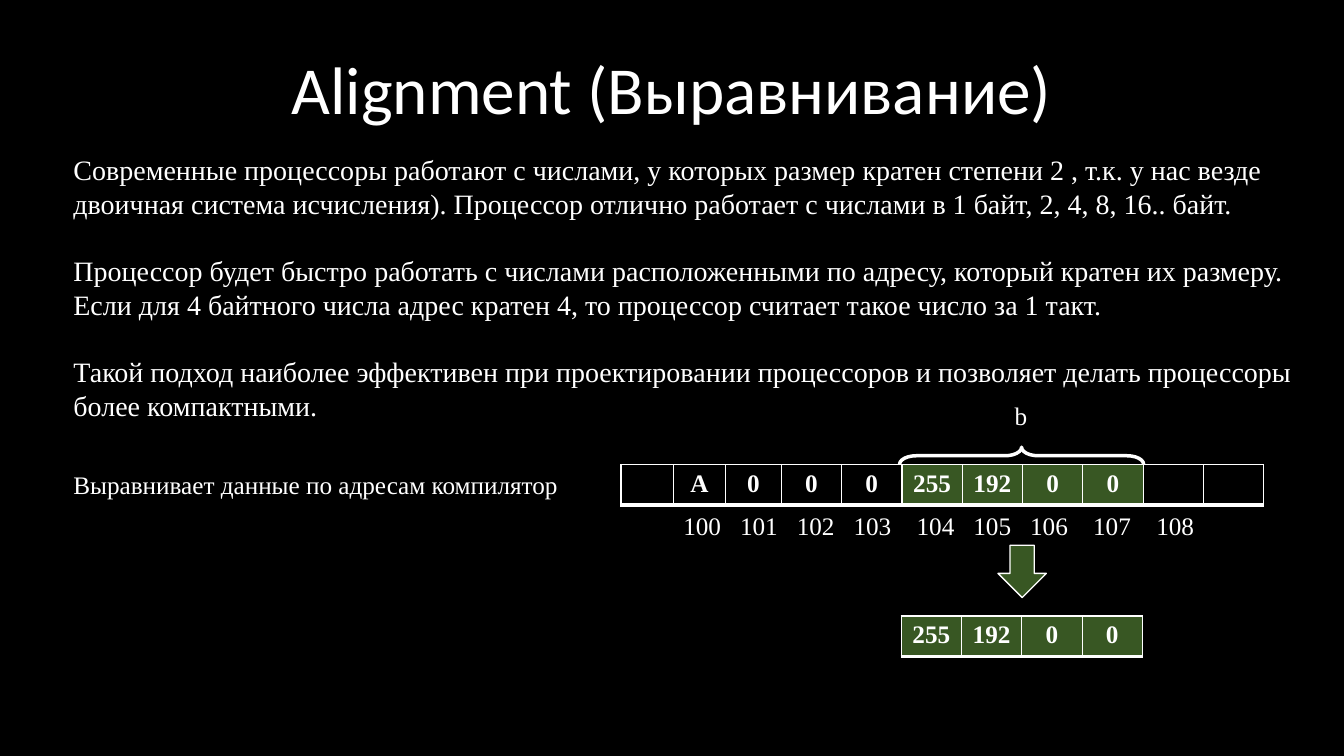
from dataclasses import dataclass
from itertools import accumulate

from lxml.etree import SubElement
from pptx import Presentation
from pptx.dml.color import RGBColor as Rgb
from pptx.enum.shapes import MSO_SHAPE as Shape
from pptx.enum.text import MSO_ANCHOR as Anchor, MSO_AUTO_SIZE as AutoSize, PP_ALIGN as Align
from pptx.oxml import parse_xml
from pptx.oxml.ns import nsdecls, qn
from pptx.slide import Slide
from pptx.util import Cm, Pt


@dataclass(frozen=True)
class Theme:
    black: Rgb = Rgb(0x00, 0x00, 0x00)
    white: Rgb = Rgb(0xFF, 0xFF, 0xFF)
    green: Rgb = Rgb(0x38, 0x57, 0x23)
    heading_font: str = "Calibri"
    body_font: str = "Times New Roman"
    heading_size: int = 48
    body_size: int = 20
    label_size: int = 18


@dataclass(frozen=True)
class Box:
    left: float
    top: float
    width: float
    height: float

    def emu(self) -> tuple[Cm, Cm, Cm, Cm]:
        return Cm(self.left), Cm(self.top), Cm(self.width), Cm(self.height)


@dataclass(frozen=True)
class Passage:
    box: Box
    paragraphs: tuple[str, ...]
    size: int
    wrap: bool = True
    gap: float = 0
    tabs: tuple[float, ...] = ()


@dataclass(frozen=True)
class Memory:
    left: float
    top: float
    widths: tuple[float, ...]
    values: tuple[str, ...]
    number: range  # cells that hold the 4-byte number


THEME = Theme()
ROW_HEIGHT = 1.02
BYTE_WIDTH = 1.52
NARROW, WIDE = 1.43, 1.59  # steps between addresses

TITLE = Passage(Box(3.15, 0.81, 27.56, 2.57), ("Alignment (Выравнивание)",), THEME.heading_size)
EXPLANATION = Passage(
    Box(1.6, 3.73, 31.27, 7.09),
    (
        "Современные процессоры работают с числами, у которых размер кратен степени 2 , т.к. у нас везде "
        "двоичная система исчисления). Процессор отлично работает с числами в 1 байт, 2, 4, 8, 16.. байт.",
        "Процессор будет быстро работать с числами расположенными по адресу, который кратен их размеру. "
        "Если для 4 байтного числа адрес кратен 4, то процессор считает такое число за 1 такт.",
        "Такой подход наиболее эффективен при проектировании процессоров и позволяет делать процессоры "
        "более компактными.",
    ),
    THEME.body_size,
    gap=24,
)
COMPILER = Passage(
    Box(1.6, 11.71, 12.95, ROW_HEIGHT), ("Выравнивает данные по адресам компилятор",), THEME.label_size
)
ADDRESSES = Passage(
    Box(16.97, 12.73, 14.02, ROW_HEIGHT),
    ("\t".join(str(address) for address in range(100, 109)),),
    THEME.label_size,
    tabs=tuple(accumulate((NARROW, NARROW, NARROW, WIDE, NARROW, NARROW, WIDE, WIDE))),
)
VARIABLE = Passage(Box(25.32, 9.96, 0.81, ROW_HEIGHT), ("b",), THEME.label_size, wrap=False)

NUMBER = ("255", "192", "0", "0")
MEMORY = Memory(
    15.65, 11.71, (1.32, 1.32, 1.4) + (BYTE_WIDTH,) * 8,
    ("", "A", "0", "0", "0", *NUMBER, "", ""), range(5, 9),
)
RESULT = Memory(22.71, 15.52, (BYTE_WIDTH,) * 4, NUMBER, range(4))

BRACE = Box(25.53, 8.41, 0.43, 6.15)
ARROW = Box(25.15, 13.74, 1.22, 1.32)


def add_run(paragraph, text: str, size: int, font: str = THEME.body_font, bold: bool = False) -> None:
    run = paragraph.add_run()
    run.text = text
    run.font.name, run.font.size, run.font.bold = font, Pt(size), bold
    run.font.color.rgb = THEME.white


def add_text_frame(slide: Slide, passage: Passage):
    frame = slide.shapes.add_textbox(*passage.box.emu()).text_frame
    frame.word_wrap = passage.wrap
    return frame


def add_title(slide: Slide) -> None:
    frame = add_text_frame(slide, TITLE)
    frame.vertical_anchor = Anchor.BOTTOM
    heading = frame.paragraphs[0]
    heading.alignment, heading.line_spacing = Align.CENTER, 0.9
    add_run(heading, TITLE.paragraphs[0], TITLE.size, THEME.heading_font)


def add_passage(slide: Slide, passage: Passage) -> None:
    frame = add_text_frame(slide, passage)
    frame.auto_size = AutoSize.SHAPE_TO_FIT_TEXT
    for index, text in enumerate(passage.paragraphs):
        paragraph = frame.add_paragraph() if index else frame.paragraphs[0]
        if index:
            paragraph.space_before = Pt(passage.gap)
        if passage.tabs:
            stops = SubElement(paragraph._p.get_or_add_pPr(), qn("a:tabLst"))
            for position in passage.tabs:
                SubElement(stops, qn("a:tab"), pos=str(Cm(position)), algn="l")
        add_run(paragraph, text, passage.size)


def add_borders(cell) -> None:
    properties = cell._tc.get_or_add_tcPr()
    for index, (side, points) in enumerate((("L", 1), ("R", 1), ("T", 1), ("B", 3))):
        border = parse_xml(
            f'<a:ln{side} {nsdecls("a")} w="{Pt(points)}"><a:solidFill>'
            f'<a:srgbClr val="{THEME.white}"/></a:solidFill></a:ln{side}>'
        )
        properties.insert(index, border)


def add_memory(slide: Slide, memory: Memory) -> None:
    box = Box(memory.left, memory.top, sum(memory.widths), ROW_HEIGHT)
    table = slide.shapes.add_table(1, len(memory.values), *box.emu()).table
    for index, (width, value) in enumerate(zip(memory.widths, memory.values)):
        table.columns[index].width = Cm(width)
        cell = table.cell(0, index)
        cell.fill.solid()
        cell.fill.fore_color.rgb = THEME.green if index in memory.number else THEME.black
        add_borders(cell)
        if value:
            paragraph = cell.text_frame.paragraphs[0]
            paragraph.alignment = Align.CENTER
            add_run(paragraph, value, THEME.label_size, bold=True)


def add_outlined(slide: Slide, kind: Shape, box: Box, line_width: float):
    shape = slide.shapes.add_shape(kind, *box.emu())
    shape.shadow.inherit = False
    shape.line.color.rgb = THEME.white
    shape.line.width = Pt(line_width)
    return shape


def main() -> None:
    deck = Presentation()
    deck.slide_width, deck.slide_height = Cm(33.87), Cm(19.05)
    slide = deck.slides.add_slide(deck.slide_layouts[6])
    slide.background.fill.solid()
    slide.background.fill.fore_color.rgb = THEME.black

    add_title(slide)

    # Memory cells with their addresses
    add_memory(slide, MEMORY)
    add_passage(slide, ADDRESSES)

    # Brace over the bytes of the variable
    brace = add_outlined(slide, Shape.LEFT_BRACE, BRACE, 2.5)
    brace.fill.background()
    brace.rotation = 90
    brace.adjustments[0], brace.adjustments[1] = 0.97, 0.5
    add_passage(slide, VARIABLE)

    # The number as it is read
    add_memory(slide, RESULT)
    arrow = add_outlined(slide, Shape.DOWN_ARROW, ARROW, 1)
    arrow.fill.solid()
    arrow.fill.fore_color.rgb = THEME.green

    # Explanation
    for passage in (EXPLANATION, COMPILER):
        add_passage(slide, passage)

    deck.save("out.pptx")


if __name__ == "__main__":
    main()
